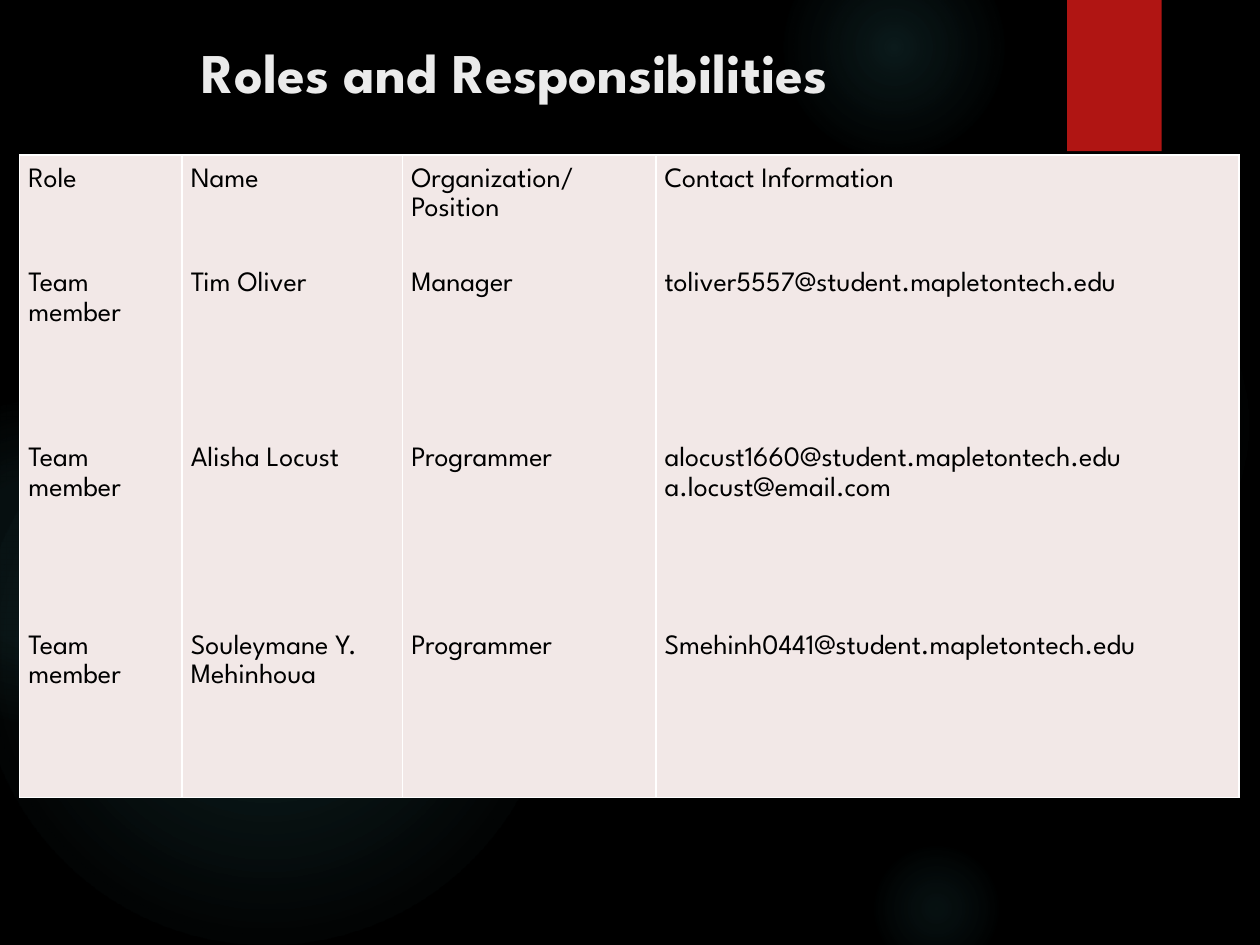
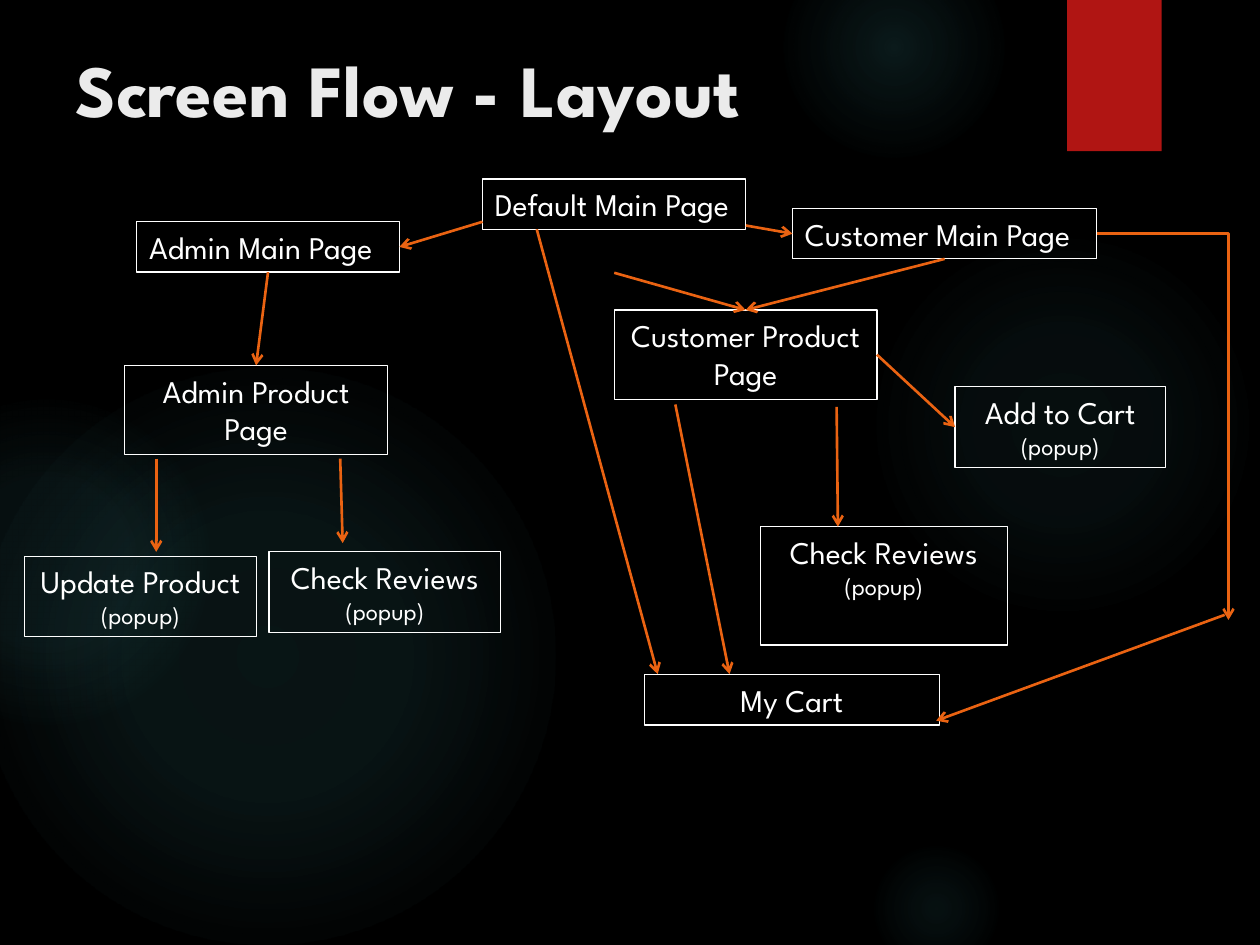
from dataclasses import dataclass
from pptx import Presentation
from pptx.dml.color import RGBColor as Color
from pptx.enum.shapes import MSO_CONNECTOR as Connector, MSO_SHAPE as Shape
from pptx.enum.text import MSO_ANCHOR as Anchor, PP_ALIGN as Align
from pptx.oxml import parse_xml
from pptx.oxml.ns import nsdecls, qn
from pptx.util import Inches, Pt


@dataclass(frozen=True)
class Theme:
    font: str = "League Spartan"
    background: str = "000000"
    glow: str = "50B9C1"
    ribbon: str = "B01513"
    title: str = "EBEBEB"
    cell: str = "F2E8E7"
    cell_text: str = "000000"
    white: str = "FFFFFF"
    arrow: str = "EA6312"
    table_title_size: int = 32
    flow_title_size: int = 42
    table_size: int = 16
    box_size: int = 18
    note_size: int = 14
    table_spacing: float = 1.15


theme = Theme()
deck = Presentation()
deck.slide_width, deck.slide_height = Inches(10), Inches(7.5)
column = deck.slide_width / 100
row = deck.slide_height / 75


def grid(*lengths):
    return [round(length * unit) for length, unit in zip(lengths, (column, row) * 2)]


def write_text(frame, text, size, color, bold=False, align=Align.LEFT, spacing=1.0, note=""):
    frame.word_wrap = True
    frame.vertical_anchor = Anchor.TOP
    for index, line in enumerate(text.split("\n")):
        para = frame.add_paragraph() if index else frame.paragraphs[0]
        para.alignment = align
        para.line_spacing = spacing
        spans = [(line, size)] + ([(note, theme.note_size)] if note else [])
        for position, (words, points) in enumerate(spans):
            if position:
                para.add_line_break()
            span = para.add_run()
            span.text = words
            span.font.name = theme.font
            span.font.size = Pt(points)
            span.font.bold = bold
            span.font.color.rgb = Color.from_string(color)


glows = [
    (68.9, 18.3, 30.8, [(0, 7), (36, 6), (69, 0)]),
    (62.2, -5, 17.5, [(0, 14), (36, 7), (73, 0)]),
    (68.9, 66.7, 10.8, [(0, 9), (36, 5), (66, 0)]),
    (-1.7, 29.2, 45.8, [(0, 11), (36, 10), (75, 0)]),
    (-9.2, 31.7, 25.8, [(0, 8), (36, 8), (72, 0)]),
]
titles = [
    ("Roles and Responsibilities", (15, 2.5, 64.2, 6.7), theme.table_title_size),
    ("Screen Flow - Layout", (5, 3, 90, 7), theme.flow_title_size),
]

pages = []
for title, area, size in titles:
    page = deck.slides.add_slide(deck.slide_layouts[6])
    pages.append(page)
    page.background.fill.solid()
    page.background.fill.fore_color.rgb = Color.from_string(theme.background)
    for left, top, diameter, stops in glows:
        glow = page.shapes.add_shape(Shape.OVAL, *grid(left, top, diameter, diameter))
        glow.shadow.inherit = False
        glow.line.fill.background()
        stop_xml = "".join(
            f'<a:gs pos="{place * 1000}"><a:srgbClr val="{theme.glow}">'
            f'<a:alpha val="{opacity * 1000}"/></a:srgbClr></a:gs>'
            for place, opacity in stops)
        glow.element.spPr.find(qn("a:prstGeom")).addnext(parse_xml(
            f'<a:gradFill {nsdecls("a")}><a:gsLst>{stop_xml}</a:gsLst><a:path path="circle">'
            '<a:fillToRect l="50000" t="50000" r="50000" b="50000"/></a:path></a:gradFill>'))
    ribbon = page.shapes.add_shape(Shape.RECTANGLE, *grid(84.7, 0, 7.5, 12))
    ribbon.fill.solid()
    ribbon.fill.fore_color.rgb = Color.from_string(theme.ribbon)
    ribbon.line.fill.background()
    ribbon.shadow.inherit = False
    ribbon.element.spPr.find(qn("a:effectLst")).append(parse_xml(
        f'<a:outerShdw {nsdecls("a")} blurRad="{Pt(3)}" dist="{Pt(2)}" dir="5400000">'
        f'<a:srgbClr val="{theme.background}"><a:alpha val="45000"/></a:srgbClr></a:outerShdw>'))
    title_box = page.shapes.add_textbox(*grid(*area))
    write_text(title_box.text_frame, title, size, theme.title, bold=True)

roles_page, flow_page = pages

members = [
    ("Role", "Name", "Organization/\nPosition", "Contact Information"),
    ("Team member", "Tim Oliver", "Manager", "toliver5557@student.mapletontech.edu"),
    ("Team member", "Alisha Locust", "Programmer",
     "alocust1660@student.mapletontech.edu\na.locust@email.com"),
    ("Team member", "Souleymane Y. Mehinhoua", "Programmer",
     "Smehinh0441@student.mapletontech.edu"),
]
widths = (12.9, 17.5, 20.1, 46.3)
heights = (8.3, 13.9, 14.9, 13.9)
table = roles_page.shapes.add_table(
    len(heights), len(widths), *grid(1.55, 12.3, sum(widths), sum(heights))).table
table.first_row = table.horz_banding = False
for table_column, width in zip(table.columns, widths):
    table_column.width = round(width * column)
for row_index, (member, height) in enumerate(zip(members, heights)):
    table.rows[row_index].height = round(height * row)
    edges = {"lnL": True, "lnR": True, "lnT": row_index == 0,
             "lnB": row_index == len(members) - 1}
    for column_index, text in enumerate(member):
        cell = table.cell(row_index, column_index)
        cell.margin_left = cell.margin_right = Inches(0.07)
        cell.margin_top = cell.margin_bottom = Inches(0.07)
        write_text(cell.text_frame, text, theme.table_size, theme.cell_text,
                   spacing=theme.table_spacing)
        properties = cell._tc.get_or_add_tcPr()
        for edge, drawn in edges.items():
            paint = (f'<a:solidFill><a:srgbClr val="{theme.white}"/></a:solidFill>'
                     if drawn else "<a:noFill/>")
            properties.append(parse_xml(
                f'<a:{edge} {nsdecls("a")} w="{Pt(1)}">{paint}</a:{edge}>'))
        cell.fill.solid()
        cell.fill.fore_color.rgb = Color.from_string(theme.cell)

popup = "(popup)"
screens = {
    "main": ("Default Main Page", (38.3, 14.2, 20.85, 4), Align.LEFT, ""),
    "customer": ("Customer Main Page", (62.9, 16.55, 24.15, 4), Align.LEFT, ""),
    "admin": ("Admin Main Page", (10.85, 17.6, 20.85, 4), Align.LEFT, ""),
    "admin product": ("Admin Product Page", (9.9, 29, 20.85, 7.1), Align.CENTER, ""),
    "customer product": ("Customer Product Page", (48.75, 24.6, 20.85, 7.1), Align.CENTER, ""),
    "add": ("Add to Cart", (75.8, 30.7, 16.7, 6.4), Align.CENTER, popup),
    "customer reviews": ("Check Reviews", (60.35, 41.8, 19.6, 9.4), Align.CENTER, popup),
    "cart": ("My Cart", (51.15, 53.55, 23.4, 4), Align.CENTER, ""),
    "admin reviews": ("Check Reviews", (21.35, 43.8, 18.4, 6.4), Align.CENTER, popup),
    "update": ("Update Product", (1.95, 44.15, 18.4, 6.4), Align.CENTER, popup),
}
boxes = {}
for name, (text, area, align, note) in screens.items():
    box = flow_page.shapes.add_shape(Shape.RECTANGLE, *grid(*area))
    box.shadow.inherit = False
    box.fill.background()
    box.line.color.rgb = Color.from_string(theme.white)
    box.line.width = Pt(0.75)
    write_text(box.text_frame, text, theme.box_size, theme.white, align=align, note=note)
    boxes[name] = box

top_side, left_side, bottom_side, right_side = range(4)
arrows = [
    ((38.3, 17.6), ("admin", right_side)),
    ((59.2, 17.9), ("customer", left_side)),
    ((48.75, 21.65), ("customer product", top_side)),
    (("customer", bottom_side), ("customer product", top_side)),
    (("customer product", right_side), ("add", left_side)),
    ((66.4, 32.3), (66.5, 41.8)),
    (("customer", right_side), (97.5, 49.2)),
    ((97.2, 48.8), (74.3, 57.2)),
    ((53.6, 32.1), (57.9, 53.5)),
    (("admin", bottom_side), ("admin product", top_side)),
    ((12.4, 36.4), (12.4, 43.8)),
    ((27, 36.4), (27.2, 43.1)),
    ((42.6, 18.2), (52.2, 53.5)),
]
for start, end in arrows:
    bent = start == ("customer", right_side)
    kind = Connector.ELBOW if bent else Connector.STRAIGHT
    first = (87.05, 18.55) if bent else start if start[0] not in boxes else (0, 0)
    last = end if end[0] not in boxes else (0, 0)
    arrow = flow_page.shapes.add_connector(kind, *grid(*first, *last))
    if start[0] in boxes:
        arrow.begin_connect(boxes[start[0]], start[1])
    if end[0] in boxes:
        arrow.end_connect(boxes[end[0]], end[1])
    arrow.line.color.rgb = Color.from_string(theme.arrow)
    arrow.line.width = Pt(1.5)
    properties = arrow._element.spPr
    if bent:
        properties.find(qn("a:prstGeom")).set("prst", "bentConnector2")
    properties.find(qn("a:ln")).append(parse_xml(f'<a:tailEnd {nsdecls("a")} type="arrow"/>'))
    properties.append(parse_xml(f'<a:effectLst {nsdecls("a")}/>'))

deck.save("out.pptx")
